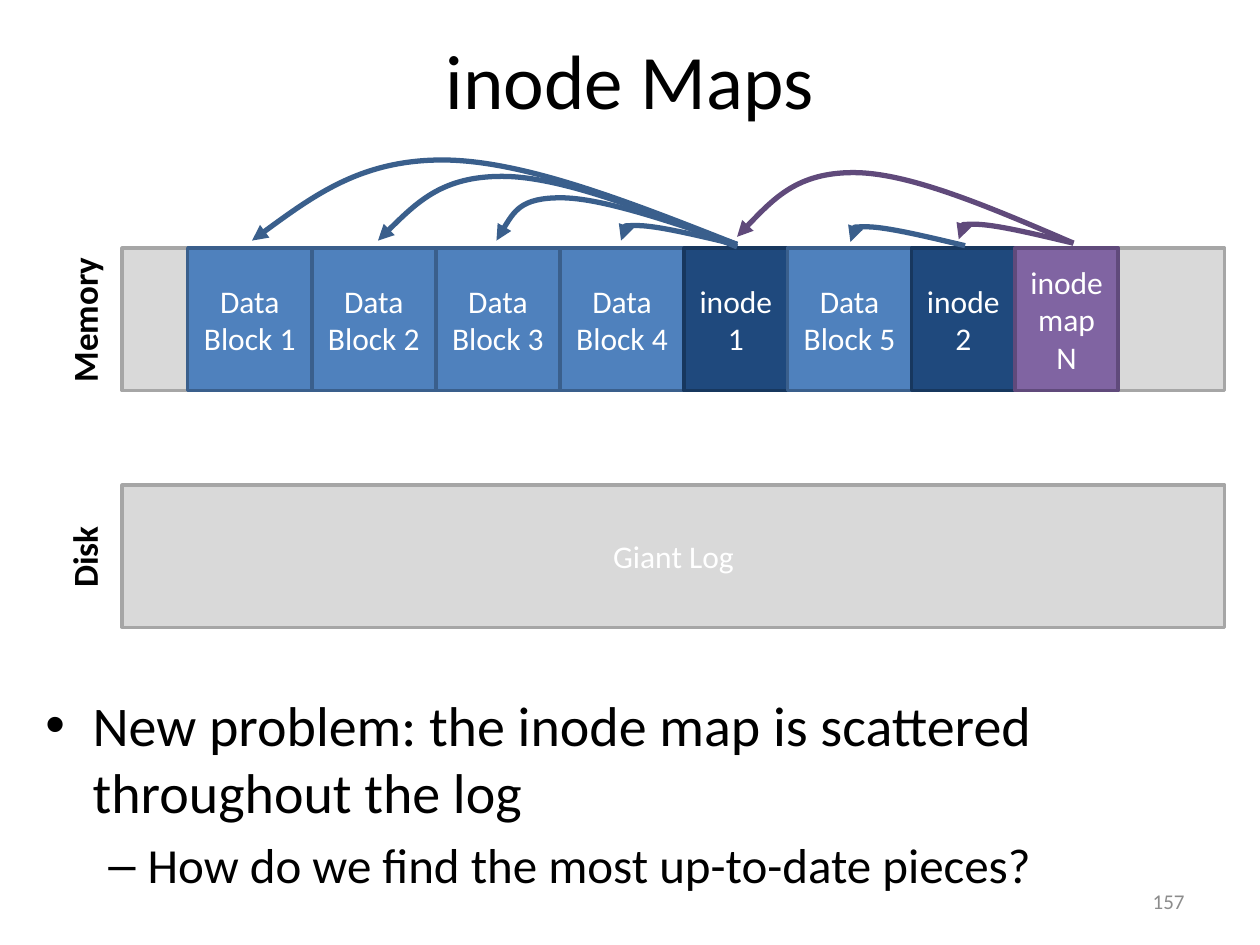
from lxml import etree
from pptx import Presentation
from pptx.dml.color import RGBColor
from pptx.enum.shapes import MSO_SHAPE
from pptx.enum.text import MSO_ANCHOR, PP_ALIGN
from pptx.oxml.ns import qn
from pptx.util import Inches, Pt

RECT = MSO_SHAPE.RECTANGLE
MIDDLE = MSO_ANCHOR.MIDDLE
CENTER, RIGHT = PP_ALIGN.CENTER, PP_ALIGN.RIGHT
FONT = "Calibri"

GRAY = ("D9D9D9", "A6A6A6")
BLUE = ("4F81BD", "3A5F8C")
NAVY = ("1F497D", "17375E")
PURPLE = ("8064A2", "604A7B")

BAR = (0.97, 8.75, 1.13)  # left, width, height
FIRST = 1.49
NARROW = 0.82
WIDE = (5.43 - FIRST) / 4  # four data blocks fill the space up to inode 1
BLOCKS = [
    *[(f"Data Block {n}", WIDE, BLUE) for n in range(1, 5)],
    ("inode\n1", NARROW, NAVY),
    ("Data Block 5", WIDE, BLUE),
    ("inode\n2", NARROW, NAVY),
    ("inode\nmap\nN", NARROW, PURPLE),
]
# start, x of the two crest handles, y of the crest, end, colour
ARCS = [
    ((5.85, 1.94), (4.15, 2.87), 1.27, (2, 1.91), BLUE),
    ((5.85, 1.96), (4.46, 3.51), 1.4, (3, 1.91), BLUE),
    ((5.85, 1.94), (4.77, 4.13), 1.57, (3.94, 1.91), BLUE),
    ((5.84, 1.94), (5.21, 4.91), 1.79, (4.93, 1.91), BLUE),
    ((7.66, 1.95), (7.03, 6.73), 1.8, (6.75, 1.92), BLUE),
    ((8.52, 1.93), (7.89, 7.59), 1.78, (7.61, 1.9), PURPLE),
    ((8.52, 1.93), (7.22, 6.33), 1.37, (5.85, 1.88), PURPLE),
]


def color(code):
    return RGBColor.from_string(code)


def inches(box):
    return [Inches(v) for v in box]


def style(frame, size, code, align=None, bold=None):
    for para in frame.paragraphs:
        para.font.name = FONT
        para.font.size = Pt(size)
        para.font.color.rgb = color(code)
        para.font.bold = bold
        if align is not None:
            para.alignment = align


def block(slide, box, paint, text=""):
    shape = slide.shapes.add_shape(RECT, *inches(box))
    shape.shadow.inherit = False
    fill, line = paint
    shape.fill.solid()
    shape.fill.fore_color.rgb = color(fill)
    shape.line.color.rgb = color(line)
    shape.line.width = Pt(2)
    if text:
        frame = shape.text_frame
        frame.text = text
        frame.word_wrap = True
        frame.vertical_anchor = MIDDLE
        style(frame, 18, "FFFFFF", CENTER)


def label(slide, box, text, size, code, align, bold=None, turn=0):
    shape = slide.shapes.add_textbox(*inches(box))
    shape.rotation = turn
    frame = shape.text_frame
    frame.text = text
    frame.word_wrap = True
    frame.vertical_anchor = MIDDLE
    style(frame, size, code, align, bold)


def arc(slide, start, grips, top, end, paint):
    """Arrow of two cubic curves that meet at a level crest."""
    (x0, y0), (a, b), (x1, y1) = start, grips, end
    points = [
        ((x0 + a) / 2, (y0 + top) / 2), (a, top), ((a + b) / 2, top),
        (b, top), ((b + x1) / 2, (top + y1) / 2), end,
    ]
    pen = slide.shapes.build_freeform(Inches(x0), Inches(y0))
    pen.add_line_segments([inches(p) for p in points], close=False)
    shape = pen.convert_to_shape()
    shape.shadow.inherit = False
    shape.fill.background()
    shape.line.color.rgb = color(paint[1])
    shape.line.width = Pt(3)
    bend(shape)
    line = shape.line._get_or_add_ln()
    etree.SubElement(line, qn("a:tailEnd"), type="triangle")


def bend(shape):
    """Turn each three straight segments into one cubic curve."""
    steps = list(shape._element.iter(qn("a:lnTo")))
    for i in range(0, len(steps), 3):
        curve = etree.Element(qn("a:cubicBezTo"))
        steps[i].addprevious(curve)
        for step in steps[i:i + 3]:
            curve.append(step[0])
            step.getparent().remove(step)


def memory(slide, y):
    left, width, height = BAR
    block(slide, (left, y, width, height), GRAY)
    x = FIRST
    for text, wide, paint in BLOCKS:
        block(slide, (x, y, wide, height), paint, text)
        x += wide
    for each in ARCS:
        arc(slide, *each)
    side(slide, y, "Memory")


def disk(slide, y):
    left, width, height = BAR
    block(slide, (left, y, width, height), GRAY, "Giant Log")
    side(slide, y, "Disk")


def side(slide, y, text):
    box = (-0.05, y + 0.35, 1.43, 0.44)
    label(slide, box, text, 20, "000000", CENTER, True, 270)


def place(shape, box):
    shape.left, shape.top, shape.width, shape.height = inches(box)


def title(slide, box):
    shape = slide.shapes.title
    place(shape, box)
    shape.text_frame.text = "inode Maps"
    shape.text_frame.vertical_anchor = MIDDLE
    style(shape.text_frame, 44, "000000", CENTER)


def notes(slide, box):
    shape = slide.placeholders[1]
    place(shape, box)
    frame = shape.text_frame
    frame.text = "New problem: the inode map is scattered throughout the log"
    style(frame, 32, "000000")
    sub = frame.add_paragraph()
    sub.text = "How do we find the most up-to-date pieces?"
    sub.level = 1
    sub.font.name = FONT
    sub.font.size = Pt(28)
    sub.font.color.rgb = color("000000")


def main():
    deck = Presentation()
    deck.slide_width, deck.slide_height = Inches(10), Inches(7.5)
    slide = deck.slides.add_slide(deck.slide_layouts[1])
    title(slide, (0.5, 0, 9, 1.25))
    memory(slide, 1.97)
    disk(slide, 3.85)
    notes(slide, (0.26, 5.43, 9.49, 1.97))
    label(slide, (7.17, 6.95, 2.33, 0.4), "157", 12, "8C8C8C", RIGHT)
    deck.save("out.pptx")


if __name__ == "__main__":
    main()
